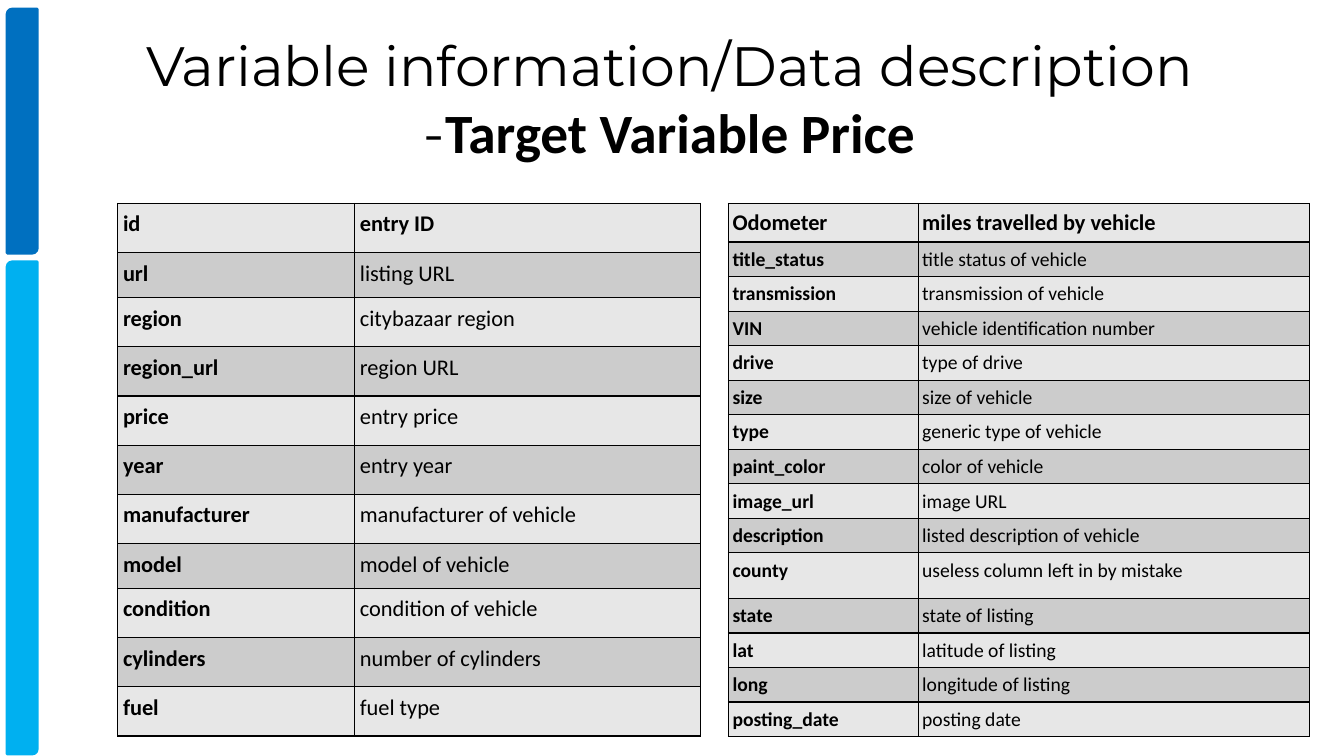
from dataclasses import dataclass

from lxml.etree import SubElement
from pptx import Presentation
from pptx.dml.color import RGBColor
from pptx.enum.shapes import MSO_SHAPE
from pptx.enum.text import MSO_ANCHOR, MSO_AUTO_SIZE, PP_ALIGN
from pptx.oxml.ns import qn
from pptx.util import Cm, Pt


@dataclass(frozen=True)
class Theme:
    dark_blue = RGBColor.from_string("0070C0")
    light_blue = RGBColor.from_string("00B0F0")
    ink = RGBColor.from_string("000000")
    stripes = (RGBColor.from_string("E7E7E7"), RGBColor.from_string("CCCCCC"))
    title_font = "Montserrat"
    body_font = "Calibri"
    title_size = Pt(39.6)
    large = Pt(16)
    small = Pt(14)
    border = Pt(1)


theme = Theme()


def apply_format(target, values):
    for name, value in values.items():
        setattr(target, name, value)


def add_borders(cell):
    properties = cell._tc.get_or_add_tcPr()
    for side in ("lnL", "lnR", "lnT", "lnB"):
        line = SubElement(properties, qn(f"a:{side}"), w=str(int(theme.border)))
        fill = SubElement(line, qn("a:solidFill"))
        SubElement(fill, qn("a:srgbClr"), val=str(theme.ink))


presentation = Presentation()
presentation.slide_width, presentation.slide_height = Cm(33.87), Cm(19.05)
slide = presentation.slides.add_slide(presentation.slide_layouts[5])

# Side bars
for top, height, blue in ((0.23, 6.15, theme.dark_blue), (6.6, 12.4, theme.light_blue)):
    side_bar = slide.shapes.add_shape(
        MSO_SHAPE.ROUND_2_DIAG_RECTANGLE, Cm(0.18), Cm(top), Cm(0.76), Cm(height))
    side_bar.shadow.inherit = False
    side_bar.fill.solid()
    side_bar.fill.fore_color.rgb = blue
    side_bar.line.color.rgb = blue
    side_bar.line.width = Pt(2)

# Title
title = slide.shapes.title
apply_format(title, {"left": Cm(1.42), "top": Cm(0.51), "width": Cm(30.91), "height": Cm(3.91)})
apply_format(title.text_frame, {"word_wrap": True, "auto_size": MSO_AUTO_SIZE.NONE,
                                "vertical_anchor": MSO_ANCHOR.MIDDLE})
heading = title.text_frame.paragraphs[0]
heading.alignment = PP_ALIGN.CENTER
for words, font_name, bold in (
    ("Variable information/Data description", theme.title_font, False),
    ("-", theme.title_font, False),
    ("Target Variable Price", theme.body_font, True),
):
    if words == "-":
        heading.add_line_break()
    title_run = heading.add_run()
    title_run.text = words
    apply_format(title_run.font, {"name": font_name, "size": theme.title_size, "bold": bold})
    title_run.font.color.rgb = theme.ink

# Variables and their descriptions
listing_variables = (
    ("id", "entry ID"),
    ("url", "listing URL"),
    ("region", "citybazaar region"),
    ("region_url", "region URL"),
    ("price", "entry price"),
    ("year", "entry year"),
    ("manufacturer", "manufacturer of vehicle"),
    ("model", "model of vehicle"),
    ("condition", "condition of vehicle"),
    ("cylinders", "number of cylinders"),
    ("fuel", "fuel type"),
)
vehicle_variables = (
    ("Odometer", "miles travelled by vehicle"),
    ("title_status", "title status of vehicle"),
    ("transmission", "transmission of vehicle"),
    ("VIN", "vehicle identification number"),
    ("drive", "type of drive"),
    ("size", "size of vehicle"),
    ("type", "generic type of vehicle"),
    ("paint_color", "color of vehicle"),
    ("image_url", "image URL"),
    ("description", "listed description of vehicle"),
    ("county", "useless column left in by mistake"),
    ("state", "state of listing"),
    ("lat", "latitude of listing"),
    ("long", "longitude of listing"),
    ("posting_date", "posting date"),
)

# Tables: variables, left, column widths, row height, special row heights, inset, body size
for variables, left, widths, row_height, special_heights, inset, body_size in (
    (listing_variables, 2.97, (5.97, 8.71), 1.24, {1: 1.13, 7: 1.13}, 0.13, theme.large),
    (vehicle_variables, 18.36, (4.78, 9.86), 0.87, {0: 0.97, 10: 1.15}, 0.1, theme.small),
):
    heights = [special_heights.get(index, row_height) for index in range(len(variables))]
    variable_table = slide.shapes.add_table(
        len(variables), 2, Cm(left), Cm(5.13), Cm(sum(widths)), Cm(sum(heights))).table
    for column, width in zip(variable_table.columns, widths):
        column.width = Cm(width)
    for row_index, entry in enumerate(variables):
        variable_table.rows[row_index].height = Cm(heights[row_index])
        for column_index, words in enumerate(entry):
            cell = variable_table.cell(row_index, column_index)
            add_borders(cell)
            cell.fill.solid()
            cell.fill.fore_color.rgb = theme.stripes[row_index % 2]
            apply_format(cell, {f"margin_{side}": Cm(inset)
                                for side in ("left", "right", "top", "bottom")})
            cell.text = words
            paragraph = cell.text_frame.paragraphs[0]
            apply_format(paragraph, {"alignment": PP_ALIGN.JUSTIFY, "line_spacing": 1.07,
                                     "space_after": Pt(8)})
            cell_font = paragraph.runs[0].font
            apply_format(cell_font, {"name": theme.body_font,
                                     "size": theme.large if row_index == 0 else body_size,
                                     "bold": row_index == 0 or column_index == 0})
            cell_font.color.rgb = theme.ink

presentation.save("out.pptx")
